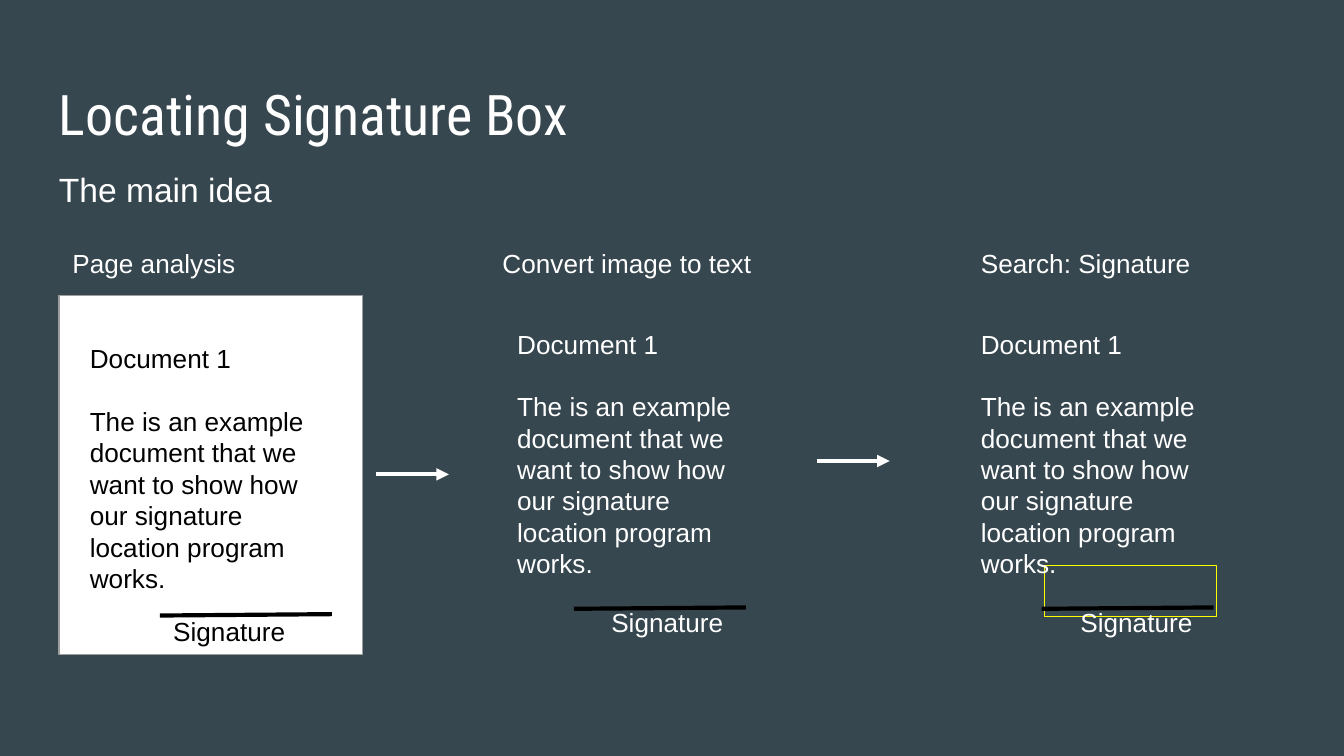
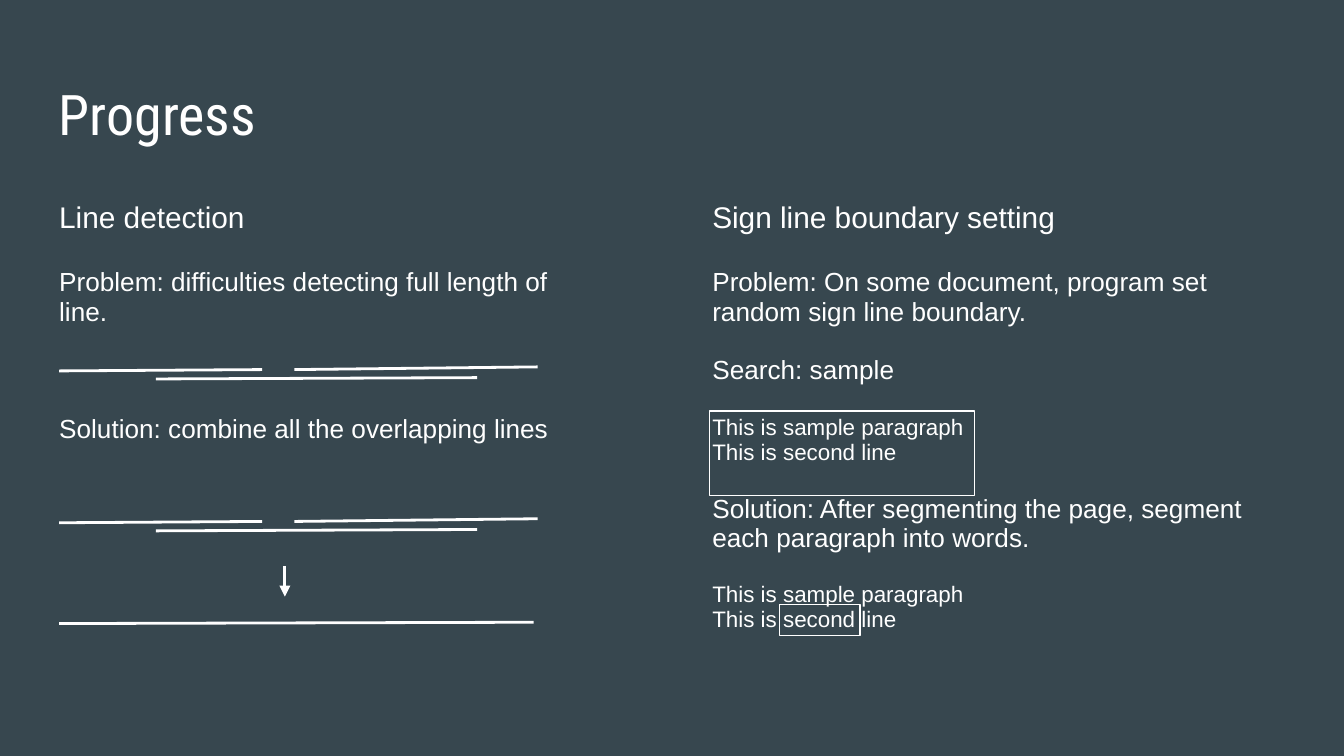
from lxml import etree
from pptx import Presentation
from pptx.dml.color import RGBColor
from pptx.enum import shapes, text
from pptx.oxml import ns
from pptx.util import Inches, Pt

SLATE = RGBColor(0x37, 0x47, 0x4F)
WHITE = RGBColor(0xFF, 0xFF, 0xFF)
BLACK = RGBColor(0x00, 0x00, 0x00)
GREY = RGBColor(0x9E, 0x9E, 0x9E)
YELLOW = RGBColor(0xFF, 0xFF, 0x00)
BODY_FONT = "Arial"
TITLE_FONT = "Roboto Condensed"
MARGIN = Inches(0.1)

# Each entry: wording, size, space before
DOCUMENT = [
    ("Document 1", 14, 0),
    ("The is an example document that we want to show how our signature "
     "location program works.", 14, 16.8),
]
LINE_DETECTION = [
    ("Line detection", 16, 0),
    ("Problem: difficulties detecting full length of line.", 14, 17.9),
    ("Solution: combine all the overlapping lines", 14, 47),
]
BOUNDARY_SETTING = [
    ("Sign line boundary setting", 16, 0),
    ("Problem: On some document, program set random sign line boundary.", 14, 17.9),
    ("Search: sample", 14, 15.7),
    ("This is sample paragraph", 12, 15.7),
    ("This is second line", 12, 0),
    ("Solution: After segmenting the page, segment each paragraph into words.", 14, 15.7),
    ("This is sample paragraph", 12, 15.7),
    ("This is second line", 12, 0),
]


def write_paragraphs(frame, entries, color=WHITE, font=BODY_FONT, spacing=None):
    """Fill a frame with (wording, size, space before) entries."""
    for index, (wording, size, before) in enumerate(entries):
        paragraph = frame.paragraphs[0] if index == 0 else frame.add_paragraph()
        paragraph.text = wording
        paragraph.space_before = Pt(before)
        if spacing:
            paragraph.line_spacing = spacing
        for run in paragraph.runs:
            run.font.size = Pt(size)
            run.font.name = font
            run.font.color.rgb = color


def add_text(slide, box, entries, color=WHITE, font=BODY_FONT, spacing=None):
    frame = slide.shapes.add_textbox(*map(Inches, box)).text_frame
    frame.word_wrap = True
    frame.vertical_anchor = text.MSO_ANCHOR.TOP
    frame.margin_left = frame.margin_right = MARGIN
    frame.margin_top = frame.margin_bottom = MARGIN
    write_paragraphs(frame, entries, color, font, spacing)


def add_label(slide, left, top, width, height, wording, color=WHITE):
    add_text(slide, (left, top, width, height), [(wording, 14, 0)], color)


def add_box(slide, box, outline, fill=None):
    rectangle = slide.shapes.add_shape(
        shapes.MSO_SHAPE.RECTANGLE, *map(Inches, box))
    rectangle.shadow.inherit = False
    rectangle.line.color.rgb = outline
    rectangle.line.width = Pt(0.75)
    if fill is None:
        rectangle.fill.background()
    else:
        rectangle.fill.solid()
        rectangle.fill.fore_color.rgb = fill


def add_line(slide, start, end, color=WHITE, width=1.5, arrow=False):
    line = slide.shapes.add_connector(
        shapes.MSO_CONNECTOR.STRAIGHT, *map(Inches, (*start, *end)))
    line.line.color.rgb = color
    line.line.width = Pt(width)
    if arrow:
        etree.SubElement(line.line._get_or_add_ln(), ns.qn("a:tailEnd"), type="triangle")
    etree.SubElement(line._element.spPr, ns.qn("a:effectLst"))


def add_titled_slide(deck, title):
    slide = deck.slides.add_slide(deck.slide_layouts[6])
    slide.background.fill.solid()
    slide.background.fill.fore_color.rgb = SLATE
    add_text(slide, (0.34, 0.49, 9.32, 0.63), [(title, 30, 0)], font=TITLE_FONT)
    return slide


def add_document(slide, left, top, signature, sign_line, color=WHITE):
    """Sample document with its signature label and the line to sign on."""
    add_text(slide, (left, top, 1.96, 1.97), DOCUMENT, color)
    add_label(slide, *signature, 1.09, 0.38, "Signature", color)
    x, y = sign_line
    add_line(slide, (x, y), (x + 1.28, y - 0.01), BLACK, 2.25)


def add_overlapping_lines(slide, top):
    """Three detected pieces of one sign line."""
    add_line(slide, (0.44, top), (1.95, top - 0.01))
    add_line(slide, (1.16, top + 0.06), (3.55, top + 0.05))
    add_line(slide, (2.19, top - 0.01), (4, top - 0.03))


def clear_cell(cell):
    cell.fill.background()
    cell.margin_left = cell.margin_right = MARGIN
    cell.margin_top = cell.margin_bottom = MARGIN
    properties = cell._tc.get_or_add_tcPr()
    for index, side in enumerate(("lnL", "lnR", "lnT", "lnB")):
        border = etree.Element(ns.qn(f"a:{side}"))
        etree.SubElement(border, ns.qn("a:noFill"))
        properties.insert(index, border)


def add_columns_table(slide):
    widths = (4.15, 0.71, 4.45)
    table = slide.shapes.add_table(
        1, len(widths), Inches(0.34), Inches(1.4),
        Inches(sum(widths)), Inches(3.65)).table
    table.first_row = table.horz_banding = False
    for column, width in zip(table.columns, widths):
        column.width = Inches(width)
    for cell in table.iter_cells():
        clear_cell(cell)
    write_paragraphs(table.cell(0, 0).text_frame, LINE_DETECTION)
    write_paragraphs(table.cell(0, 2).text_frame, BOUNDARY_SETTING)


def build_signature_slide(deck):
    slide = add_titled_slide(deck, "Locating Signature Box")
    add_text(slide, (0.34, 1.11, 9.32, 3.74), [("The main idea", 18, 0)], spacing=1.15)

    add_label(slide, 0.44, 1.74, 1.42, 0.38, "Page analysis")
    add_label(slide, 3.64, 1.74, 2.06, 0.73, "Convert image to text")
    add_label(slide, 7.2, 1.74, 1.83, 0.73, "Search: Signature")

    add_box(slide, (0.44, 2.2, 2.26, 2.67), GREY, WHITE)
    add_document(slide, 0.57, 2.45, (1.19, 4.48), (1.19, 4.58), BLACK)
    add_document(slide, 3.75, 2.34, (4.45, 4.41), (4.27, 4.53))
    add_box(slide, (7.77, 4.21, 1.28, 0.38), YELLOW)
    add_document(slide, 7.2, 2.34, (7.94, 4.41), (7.75, 4.53))

    for x, y in ((2.8, 3.53), (6.08, 3.43)):
        add_line(slide, (x, y), (x + 0.54, y), width=2.25, arrow=True)


def build_progress_slide(deck):
    slide = add_titled_slide(deck, "Progress")
    add_columns_table(slide)
    for top in (2.76, 3.89):
        add_overlapping_lines(slide, top)
    add_line(slide, (0.44, 4.64), (3.97, 4.63))
    add_line(slide, (2.12, 4.21), (2.12, 4.44), arrow=True)
    add_box(slide, (5.28, 3.06, 1.97, 0.63), WHITE)
    add_box(slide, (5.8, 4.5, 0.6, 0.23), WHITE)


def main():
    deck = Presentation()
    deck.slide_width = Inches(10)
    deck.slide_height = deck.slide_width * 9 // 16
    build_signature_slide(deck)
    build_progress_slide(deck)
    deck.save("out.pptx")


if __name__ == "__main__":
    main()
